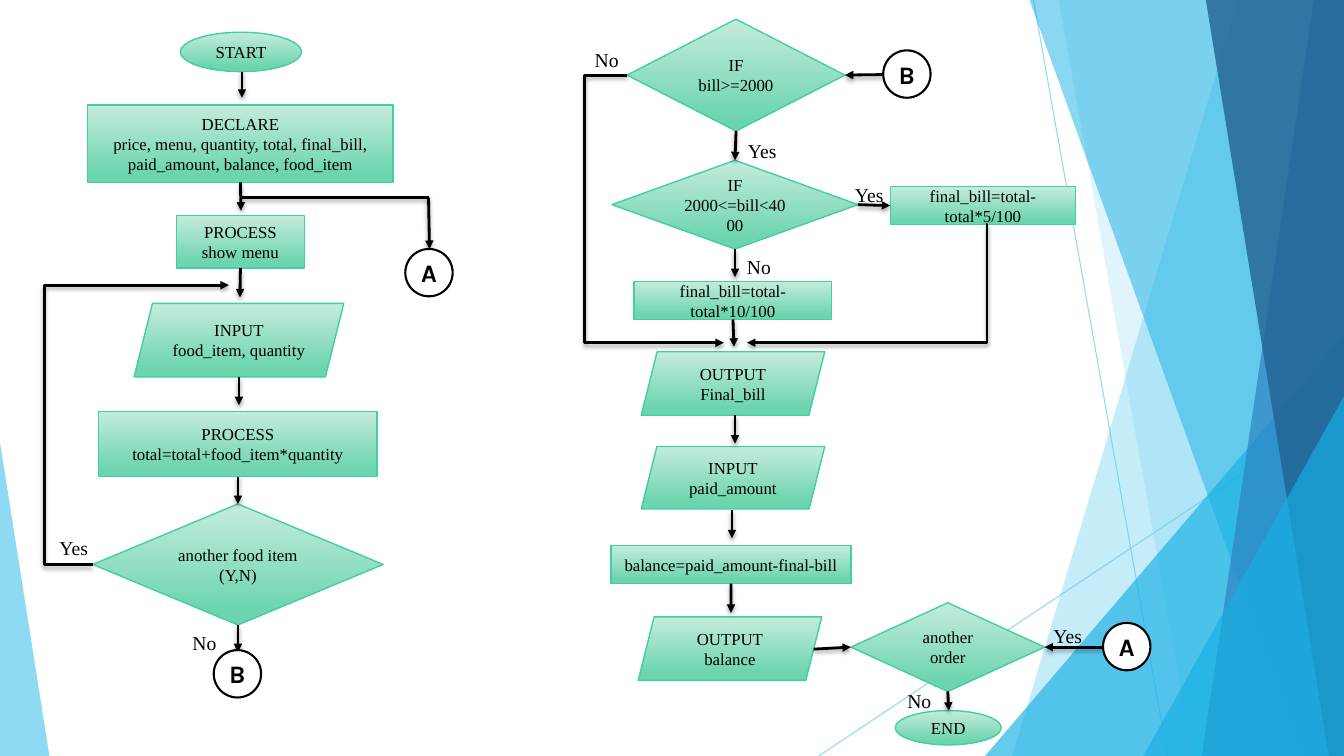
"""Builds a slide with the flowchart of a food ordering program."""
from dataclasses import dataclass

from lxml.etree import SubElement
from pptx import Presentation
from pptx.dml.color import RGBColor
from pptx.enum.shapes import MSO_CONNECTOR, MSO_SHAPE
from pptx.enum.text import MSO_ANCHOR, PP_ALIGN
from pptx.oxml.ns import qn
from pptx.util import Cm, Pt


@dataclass(frozen=True)
class Theme:
    text_font: str = "Times New Roman"
    mark_font: str = "Karla"
    box_size: int = 12
    label_size: int = 14
    mark_size: int = 18
    ink: str = "000000"
    paper: str = "FFFFFF"
    mint_light: str = "C5ECDB"
    mint: str = "6DD5AE"
    mint_edge: str = "42D0A2"
    sky: str = "5FCBEF"
    cyan: str = "17B0E4"
    blue: str = "2E83C3"
    navy: str = "226292"


THEME = Theme()
WIDTH, HEIGHT = 13.33, 7.5
TOP, LEFT, BOTTOM, RIGHT = range(4)
CIRCLE = 0.47

RAYS = [((10.25, 0), (11.58, HEIGHT)), ((WIDTH, 4.03), (8.12, HEIGHT))]
FACETS = [
    (THEME.sky, 36, [(12.28, 0), (WIDTH, 0), (WIDTH, HEIGHT), (10.04, HEIGHT)]),
    (THEME.sky, 20, [(10.5, 0), (WIDTH, 0), (WIDTH, HEIGHT), (11.83, HEIGHT)]),
    (THEME.cyan, 66, [(WIDTH, 3.33), (WIDTH, HEIGHT), (9.77, HEIGHT)]),
    (THEME.cyan, 50, [(10.21, 0), (WIDTH, 0), (WIDTH, HEIGHT), (12.91, HEIGHT)]),
    (THEME.blue, 70, [(13.03, 0), (WIDTH, 0), (WIDTH, HEIGHT), (11.92, HEIGHT)]),
    (THEME.navy, 80, [(11.96, 0), (WIDTH, 0), (WIDTH, HEIGHT), (13.18, HEIGHT)]),
    (THEME.cyan, 66, [(WIDTH, 3.93), (WIDTH, HEIGHT), (11.34, HEIGHT)]),
    (THEME.sky, 70, [(0, 4.39), (0.49, HEIGHT), (0, HEIGHT)]),
]

TERMINAL, STEP = MSO_SHAPE.OVAL, MSO_SHAPE.RECTANGLE
CHOICE, DATA = MSO_SHAPE.DIAMOND, MSO_SHAPE.PARALLELOGRAM
BOXES = {
    "start": (TERMINAL, 1.79, 0.32, 1.2, 0.39, ["START"]),
    "declare": (STEP, 0.87, 1.04, 3.03, 0.77, [
        "DECLARE",
        "price, menu, quantity, total, final_bill, paid_amount, balance, food_item"]),
    "menu": (STEP, 1.75, 2.14, 1.27, 0.52, ["PROCESS", "show menu"]),
    "item": (DATA, 1.33, 3.01, 2.08, 0.73, ["INPUT", "food_item, quantity"]),
    "total": (STEP, 0.98, 4.08, 2.76, 0.65, ["PROCESS", "total=total+food_item*quantity"]),
    "more": (CHOICE, 0.92, 5, 2.88, 1.2, ["another food item", "(Y,N)"]),
    "over 2000": (CHOICE, 6.22, 0.19, 2.16, 1.11, ["IF", "bill>=2000"]),
    "under 4000": (CHOICE, 6.07, 1.59, 2.44, 0.88, ["IF", "2000<=bill<4000"]),
    "five off": (STEP, 8.83, 1.85, 1.84, 0.38, ["final_bill=total-total*5/100"]),
    "ten off": (STEP, 6.29, 2.79, 1.96, 0.38, ["final_bill=total-total*10/100"]),
    "bill": (DATA, 6.36, 3.49, 1.82, 0.63, ["OUTPUT", "Final_bill"]),
    "paid": (DATA, 6.36, 4.43, 1.82, 0.62, ["INPUT", "paid_amount"]),
    "balance": (STEP, 6.06, 5.41, 2.38, 0.38, ["balance=paid_amount-final-bill"]),
    "change": (DATA, 6.33, 6.12, 1.82, 0.63, ["OUTPUT", "balance"]),
    "again": (CHOICE, 8.44, 5.98, 1.92, 0.88, ["another order"]),
    "end": (TERMINAL, 8.88, 7.05, 1.05, 0.34, ["END"]),
}
MARKS = [("A", 4.02, 2.47), ("B", 2.12, 6.45), ("B", 8.76, 0.5), ("A", 10.94, 6.18)]
LABELS = [
    ("Yes", 0.49, 5.25), ("No", 1.81, 6.19), ("No", 5.8, 0.41), ("Yes", 7.32, 1.31),
    ("Yes", 8.38, 1.75), ("No", 7.31, 2.46), ("No", 8.9, 6.77), ("Yes", 10.35, 6.12),
]
ARROWS = [
    ((2.4, 0.71), (2.4, 0.97)),
    (("declare", BOTTOM), (2.39, 2.09)),
    (("menu", BOTTOM), (2.38, 2.95)),
    ((2.37, 3.74), (2.37, 4.02)),
    (("total", BOTTOM), ("more", TOP)),
    (("more", BOTTOM), (2.36, 6.47)),
    ((4.25, 1.96), (4.26, 2.47)),
    ((8.76, 0.74), ("over 2000", RIGHT)),
    (("over 2000", BOTTOM), ("under 4000", TOP)),
    (("under 4000", BOTTOM), (7.29, 2.75)),
    (("under 4000", RIGHT), ("five off", LEFT)),
    (("ten off", BOTTOM), (7.28, 3.44)),
    ((7.29, 4.12), (7.29, 4.4)),
    ((7.26, 5.06), (7.26, 5.34)),
    (("balance", BOTTOM), (7.25, 6.08)),
    ((8.07, 6.44), ("again", LEFT)),
    (("again", BOTTOM), (9.41, 7.05)),
    ((10.94, 6.42), ("again", RIGHT)),
]
BRANCH = ((2.4, 1.96), (4.25, 1.96))
LOOPS = [
    ((0.92, 5.6), (2.27, 2.83), 0.44),
    ((6.22, 0.75), (7.18, 3.4), 5.8),
    ((9.78, 2.23), (7.41, 3.4), 9.79),
]


def lengths(*inches):
    return [Cm(value * 2.54) for value in inches]


def set_alpha(element, percent):
    for color in element.spPr.iter(qn("a:srgbClr")):
        SubElement(color, qn("a:alpha"), val=str(percent * 1000))


def write(frame, lines, font, size, align, bold=False):
    frame.word_wrap = True
    for index, line in enumerate(lines):
        para = frame.paragraphs[0] if index == 0 else frame.add_paragraph()
        para.alignment = align
        span = para.add_run()
        span.text = line
        span.font.name, span.font.size, span.font.bold = font, Pt(size), bold
        span.font.color.rgb = RGBColor.from_string(THEME.ink)


def add_line(page, start, end, color, width, kind=MSO_CONNECTOR.STRAIGHT):
    line = page.shapes.add_connector(kind, *lengths(*start, *end))
    line.line.color.rgb = RGBColor.from_string(color)
    line.line.width = Pt(width)
    SubElement(line.element.spPr, qn("a:effectLst"))
    return line


def add_flow(page, start, end, head=True, kind=MSO_CONNECTOR.STRAIGHT):
    flow = add_line(page, start, end, THEME.ink, 2, kind)
    properties = flow.element.spPr
    if head:
        SubElement(properties.find(qn("a:ln")), qn("a:tailEnd"), type="triangle")
    shadow = SubElement(properties.find(qn("a:effectLst")), qn("a:outerShdw"),
                        blurRad=str(Pt(3)), dist=str(Pt(2)), dir="5400000", rotWithShape="0")
    color = SubElement(shadow, qn("a:srgbClr"), val=THEME.ink)
    SubElement(color, qn("a:alpha"), val="35000")
    return flow


def add_loop(page, start, end, turn):
    flow = add_flow(page, start, end, kind=MSO_CONNECTOR.ELBOW)
    ratio = round((turn - start[0]) / (end[0] - start[0]) * 100000)
    geometry = flow.element.spPr.find(qn("a:prstGeom"))
    SubElement(geometry.find(qn("a:avLst")), qn("a:gd"), name="adj1", fmla=f"val {ratio}")


def add_facet(page, color, alpha, points):
    corners = [lengths(*point) for point in points]
    builder = page.shapes.build_freeform(*corners[0])
    builder.add_line_segments(corners[1:], close=True)
    facet = builder.convert_to_shape()
    facet.shadow.inherit = False
    facet.fill.solid()
    facet.fill.fore_color.rgb = RGBColor.from_string(color)
    facet.line.fill.background()
    set_alpha(facet.element, alpha)


def add_box(page, kind, left, top, width, height, lines):
    box = page.shapes.add_shape(kind, *lengths(left, top, width, height))
    box.shadow.inherit = False
    box.fill.gradient()
    box.fill.gradient_angle = 270
    stops = zip(box.fill.gradient_stops, (0, 0.88), (THEME.mint_light, THEME.mint))
    for stop, position, color in stops:
        stop.position = position
        stop.color.rgb = RGBColor.from_string(color)
    box.line.color.rgb = RGBColor.from_string(THEME.mint_edge)
    box.line.width = Pt(1)
    box.text_frame.vertical_anchor = MSO_ANCHOR.MIDDLE
    write(box.text_frame, lines, THEME.text_font, THEME.box_size, PP_ALIGN.CENTER)
    return box


def add_mark(page, letter, left, top):
    mark = page.shapes.add_shape(MSO_SHAPE.OVAL, *lengths(left, top, CIRCLE, CIRCLE))
    mark.shadow.inherit = False
    mark.fill.solid()
    mark.fill.fore_color.rgb = RGBColor.from_string(THEME.paper)
    mark.line.color.rgb = RGBColor.from_string(THEME.ink)
    mark.line.width = Pt(1.5)
    frame = mark.text_frame
    frame.margin_left = frame.margin_right = 0
    frame.vertical_anchor = MSO_ANCHOR.MIDDLE
    write(frame, [letter], THEME.mark_font, THEME.mark_size, PP_ALIGN.CENTER, True)


def add_label(page, text, left, top):
    frame = page.shapes.add_textbox(*lengths(left, top, 0.49, 0.32)).text_frame
    frame.margin_right = 0
    write(frame, [text], THEME.text_font, THEME.label_size, PP_ALIGN.LEFT)
    frame.paragraphs[0].line_spacing = 1.07


def locate(place):
    if place[0] not in BOXES:
        return place
    name, side = place
    _, left, top, width, height, _ = BOXES[name]
    across, down = [(0.5, 0), (0, 0.5), (0.5, 1), (1, 0.5)][side]
    return left + width * across, top + height * down


def main():
    deck = Presentation()
    deck.slide_width, deck.slide_height = lengths(WIDTH, HEIGHT)
    page = deck.slides.add_slide(deck.slide_layouts[6])
    for start, end in RAYS:
        set_alpha(add_line(page, start, end, THEME.sky, 0.75).element, 70)
    for facet in FACETS:
        add_facet(page, *facet)
    boxes = {name: add_box(page, *content) for name, content in BOXES.items()}
    for start, end in ARROWS:
        flow = add_flow(page, locate(start), locate(end))
        for place, join in ((start, flow.begin_connect), (end, flow.end_connect)):
            if place[0] in boxes:
                join(boxes[place[0]], place[1])
    add_flow(page, *BRANCH, head=False)
    for loop in LOOPS:
        add_loop(page, *loop)
    for mark in MARKS:
        add_mark(page, *mark)
    for label in LABELS:
        add_label(page, *label)
    deck.save("out.pptx")


if __name__ == "__main__":
    main()
